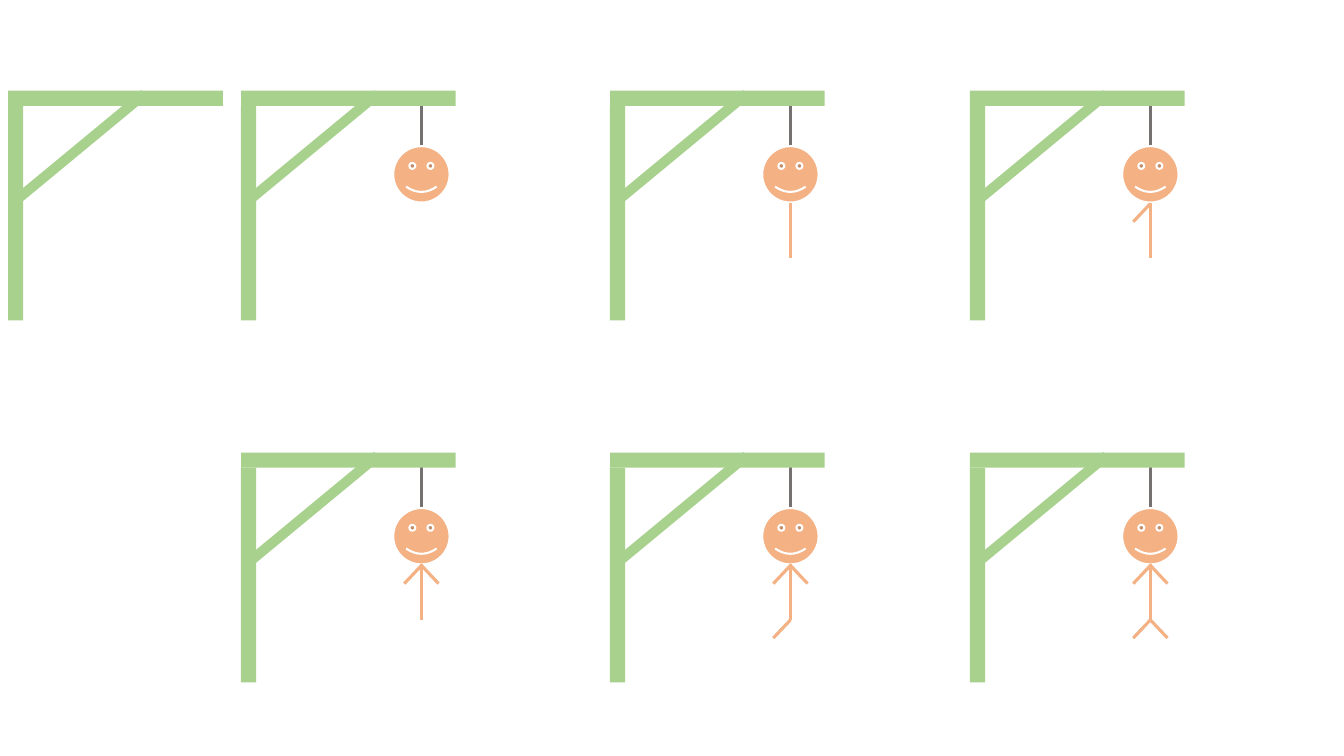
from pptx import Presentation
from pptx import util as u
from pptx.dml import color
from pptx.enum import shapes
from pptx.oxml import ns, xmlchemy

WOOD, SKIN, ROPE, WHITE = "A9D18E", "F4B183", "767171", "FFFFFF"


def rgb(value):
    return color.RGBColor.from_string(value)


class HangmanSlide:
    """Draws the stages of a hangman game on one slide."""

    # Beam size, limb reach and line widths
    THICK, LENGTH = 0.15, 2.13
    LIMB_X, LIMB_Y = 0.17, 0.18
    LINE, FACE_LINE = 2.25, 1.5
    # Distance from the gallows corner to the rope
    ROPE_X = 1.79

    def __init__(self, slide):
        self.slide = slide

    def shape(self, kind, left, top, width, height, fill, outline=None, rotation=0):
        shape = self.slide.shapes.add_shape(
            kind, u.Inches(left), u.Inches(top), u.Inches(width), u.Inches(height))
        shape.shadow.inherit = False
        shape.rotation = rotation
        shape.fill.solid()
        shape.fill.fore_color.rgb = rgb(fill)
        if outline:
            shape.line.color.rgb = rgb(outline)
            shape.line.width = u.Pt(self.FACE_LINE)
        else:
            shape.line.fill.background()

    def line(self, x1, y1, x2, y2, stroke):
        line = self.slide.shapes.add_connector(
            shapes.MSO_CONNECTOR.STRAIGHT,
            u.Inches(x1), u.Inches(y1), u.Inches(x2), u.Inches(y2))
        line.line.color.rgb = rgb(stroke)
        line.line.width = u.Pt(self.LINE)
        properties = line._element.spPr
        properties.append(xmlchemy.OxmlElement("a:effectLst"))

    def gallows(self, x, y):
        bar = shapes.MSO_SHAPE.RECTANGLE
        self.shape(bar, x, y + 0.15, self.THICK, self.LENGTH, WOOD)
        self.shape(bar, x + 0.99, y - 0.99, self.THICK, self.LENGTH, WOOD, rotation=90)
        self.shape(bar, x + 0.68, y - 0.26, 0.1, 1.62, WOOD, rotation=50.4)

    def limb(self, x, y, side):
        self.line(x, y, x + side * self.LIMB_X, y + self.LIMB_Y, SKIN)

    def stage(self, x, y, body=False, arms=(), legs=()):
        neck_x = x + self.ROPE_X
        self.line(neck_x, y + 0.07, neck_x, y + 0.66, ROPE)
        self.gallows(x, y)
        self.shape(shapes.MSO_SHAPE.SMILEY_FACE, neck_x - 0.28, y + 0.55,
                   0.56, 0.56, SKIN, outline=WHITE)
        if body:
            self.line(neck_x, y + 1.11, neck_x, y + 1.66, SKIN)
        for side in arms:
            self.limb(neck_x, y + 1.12, side)
        for side in legs:
            self.limb(neck_x, y + 1.66, side)


def main():
    presentation = Presentation()
    presentation.slide_width = u.Inches(13.33)
    presentation.slide_height = u.Inches(7.5)
    hangman = HangmanSlide(presentation.slides.add_slide(presentation.slide_layouts[6]))

    # Six stages, row by row; -1 is a left limb and 1 a right limb
    columns, rows = (2.39, 6.05, 9.62), (0.9, 4.49)
    stages = [
        {},
        {"body": True},
        {"body": True, "arms": (-1,)},
        {"body": True, "arms": (-1, 1)},
        {"body": True, "arms": (-1, 1), "legs": (-1,)},
        {"body": True, "arms": (-1, 1), "legs": (-1, 1)},
    ]
    for index, parts in enumerate(stages):
        row, column = divmod(index, len(columns))
        hangman.stage(columns[column], rows[row], **parts)

    # Empty gallows at the start
    hangman.gallows(0.08, rows[0])

    presentation.save("out.pptx")


if __name__ == "__main__":
    main()
